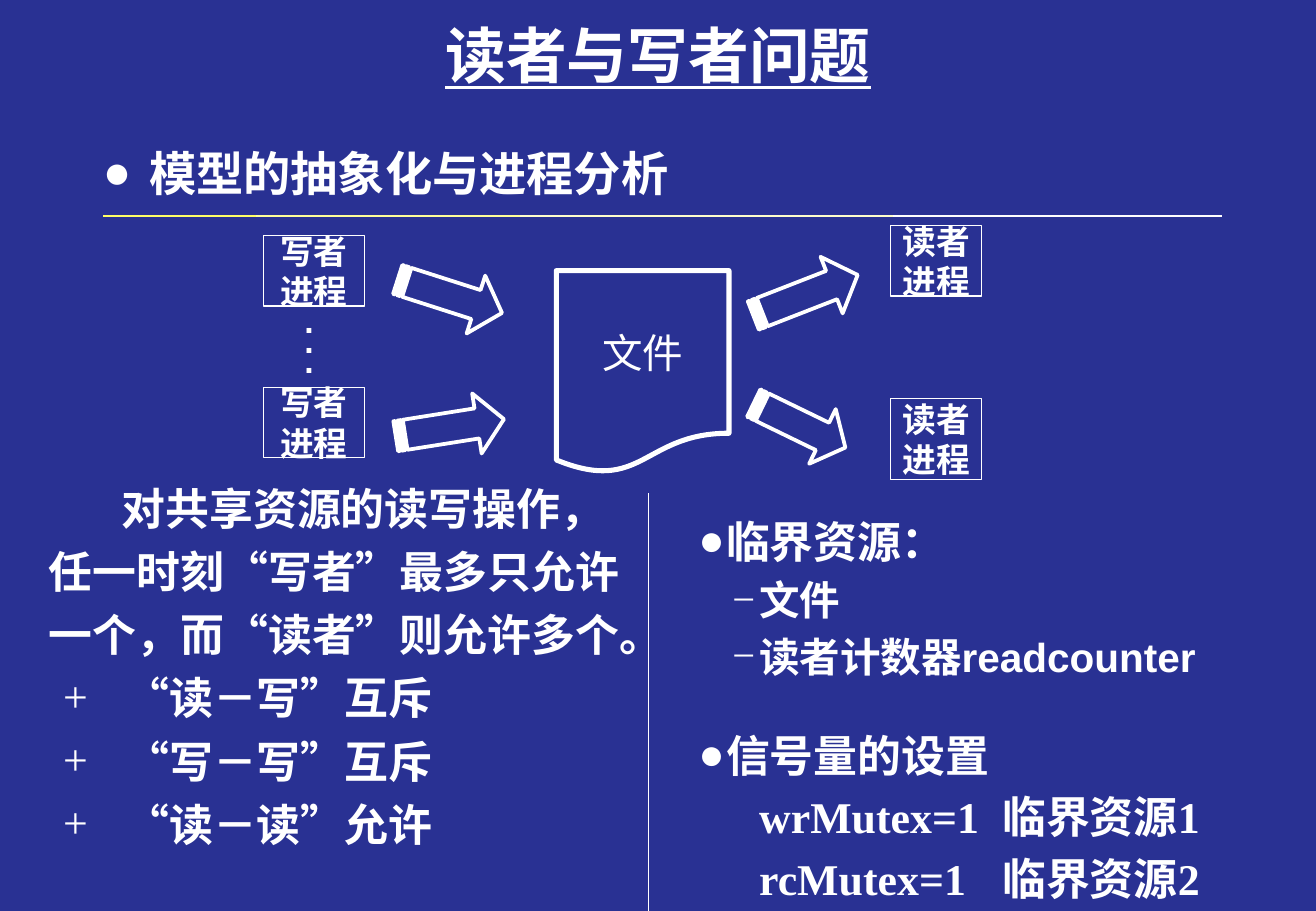
from dataclasses import dataclass

from lxml import etree
from pptx import Presentation
from pptx.dml.color import RGBColor
from pptx.enum.shapes import MSO_CONNECTOR, MSO_SHAPE
from pptx.enum.text import MSO_ANCHOR, MSO_AUTO_SIZE, PP_ALIGN
from pptx.oxml.ns import qn
from pptx.util import Cm, Pt

STRAIGHT = MSO_CONNECTOR.STRAIGHT
RECTANGLE = MSO_SHAPE.RECTANGLE
DOCUMENT = MSO_SHAPE.FLOWCHART_DOCUMENT
STRIPED_ARROW = MSO_SHAPE.STRIPED_RIGHT_ARROW
MIDDLE, TOP = MSO_ANCHOR.MIDDLE, MSO_ANCHOR.TOP
CENTER, LEFT = PP_ALIGN.CENTER, PP_ALIGN.LEFT
NO_AUTOFIT = MSO_AUTO_SIZE.NONE

COLORS = {
    "background": "293193",
    "white": "FFFFFF",
    "cream": "FFFFCC",
    "pale": "FFFF99",
    "yellow": "FFFF66",
}
ARIAL, TIMES, CJK = "Arial", "Times New Roman", "Noto Sans CJK JP"


@dataclass
class Line:
    text: str
    size: float
    font: str = ARIAL
    bold: bool = True
    underline: bool = False
    align: PP_ALIGN = LEFT
    margin: float = 0
    indent: float = 0
    before: float = 0
    spacing: float = 1.0
    bullet: str = ""
    tab: float = 0


@dataclass
class Area:
    left: float
    top: float
    width: float
    height: float


@dataclass
class Arrow:
    area: Area
    angle: float


def rgb(name: str) -> RGBColor:
    return RGBColor.from_string(COLORS[name])


def format_paragraph(para, line: Line) -> None:
    para.alignment = line.align
    para.line_spacing = line.spacing
    para.space_before = Pt(line.before)
    properties = para._p.get_or_add_pPr()
    properties.set("marL", str(Cm(line.margin)))
    properties.set("indent", str(Cm(line.indent)))
    if line.bullet:
        color = etree.SubElement(properties, qn("a:buClr"))
        etree.SubElement(color, qn("a:srgbClr"), val=COLORS["white"])
        etree.SubElement(properties, qn("a:buFont"), typeface=TIMES)
        etree.SubElement(properties, qn("a:buChar"), char=line.bullet)
    else:
        etree.SubElement(properties, qn("a:buNone"))
    if line.tab:
        tabs = etree.SubElement(properties, qn("a:tabLst"))
        etree.SubElement(tabs, qn("a:tab"), pos=str(Cm(line.tab)), algn="l")


def write(frame, lines: list[Line], anchor=TOP, wrap: bool = True) -> None:
    frame.word_wrap = wrap
    frame.auto_size = NO_AUTOFIT
    frame.vertical_anchor = anchor
    for index, line in enumerate(lines):
        para = frame.add_paragraph() if index else frame.paragraphs[0]
        format_paragraph(para, line)
        span = para.add_run()
        span.text = line.text
        span.font.size = Pt(line.size)
        span.font.bold = line.bold
        span.font.underline = line.underline
        span.font.color.rgb = rgb("white")
        span.font.name = line.font
        etree.SubElement(span._r.get_or_add_rPr(), qn("a:ea"), typeface=CJK)


def lengths(area: Area) -> tuple:
    return Cm(area.left), Cm(area.top), Cm(area.width), Cm(area.height)


def add_text(page, area: Area, lines: list[Line], anchor=TOP, wrap: bool = True) -> None:
    box = page.shapes.add_textbox(*lengths(area))
    write(box.text_frame, lines, anchor, wrap)


def add_outline(page, kind, area: Area, weight: float):
    shape = page.shapes.add_shape(kind, *lengths(area))
    shape.shadow.inherit = False
    shape.fill.background()
    shape.line.color.rgb = rgb("white")
    shape.line.width = Pt(weight)
    return shape


def add_line(page, start: tuple, end: tuple, color: str) -> None:
    line = page.shapes.add_connector(STRAIGHT, *map(Cm, start + end))
    line.line.color.rgb = rgb(color)
    line.line.width = Pt(0.75)
    etree.SubElement(line._element.spPr, qn("a:effectLst"))


def add_arrow(page, arrow: Arrow) -> None:
    shape = add_outline(page, STRIPED_ARROW, arrow.area, 2.25)
    shape.adjustments[1] = 0.25 * arrow.area.width / arrow.area.height
    shape.rotation = arrow.angle


def build_rule(page) -> None:
    y, right_end = 4.52, 25.55
    long_colors = ["cream"] * 3 + ["white"] * 3
    for index, color in reversed(list(enumerate(long_colors))):
        start = 10.42 + 2.75 * index
        add_line(page, (start, y), (min(start + 2.75, right_end), y), color)
    short_colors = ["yellow"] + ["pale"] * 4
    for index, color in reversed(list(enumerate(short_colors))):
        start = 3.07 + 1.38 * index
        add_line(page, (start, y), (start + 2.29, y), color)
    add_line(page, (2.16, y), (3.99, y), "yellow")


PROCESSES = [
    ("写者", Area(5.51, 4.93, 2.11, 1.47)),
    ("写者", Area(5.51, 8.1, 2.11, 1.47)),
    ("读者", Area(18.62, 4.72, 1.9, 1.47)),
    ("读者", Area(18.62, 8.33, 1.9, 1.7)),
]
ARROWS = [
    Arrow(Area(8.26, 5.56, 2.29, 1.27), 17.8),
    Arrow(Area(8.26, 8.31, 2.29, 1.27), 351),
    Arrow(Area(15.67, 5.54, 2.34, 1.27), 338.7),
    Arrow(Area(15.65, 8.26, 2.13, 1.27), 25.9),
]
RULES = ["“读－写”互斥", "“写－写”互斥", "“读－读”允许"]
SEMAPHORES = ["wrMutex=1\t临界资源1", "rcMutex=1\t临界资源2"]


def main() -> None:
    deck = Presentation()
    deck.slide_width, deck.slide_height = Cm(27.51), Cm(19.05)
    page = deck.slides.add_slide(deck.slide_layouts[5])
    page.background.fill.solid()
    page.background.fill.fore_color.rgb = rgb("background")
    build_rule(page)

    # Title and subtitle
    title = page.shapes.title
    title.left, title.top, title.width, title.height = lengths(Area(2.06, -0.23, 23.39, 2.74))
    write(title.text_frame, [Line("读者与写者问题", 36, CJK, underline=True, align=CENTER)], MIDDLE)
    add_text(page, Area(1.9, 2.9, 16.71, 1.45), [
        Line("模型的抽象化与进程分析", 28, margin=0.97, indent=-0.97, before=5.6, bullet="●")])

    # Writers, file and readers
    document = add_outline(page, DOCUMENT, Area(11.63, 5.66, 3.61, 4.24), 3)
    write(document.text_frame, [Line("文件", 24, bold=False, align=CENTER)], MIDDLE, False)
    for role, area in PROCESSES:
        process = add_outline(page, RECTANGLE, area, 0.75)
        lines = [Line(text, 20, align=CENTER) for text in (role, "进程")]
        write(process.text_frame, lines, MIDDLE, False)
    for arrow in ARROWS:
        add_arrow(page, arrow)
    dots = [Line(".", 20, align=CENTER, spacing=0.5)] * 3
    add_text(page, Area(5.51, 6.63, 1.9, 1.27), dots, MIDDLE, False)

    # Access rules
    summary = "对共享资源的读写操作，任一时刻“写者”最多只允许一个，而“读者”则允许多个。"
    add_text(page, Area(-0.2, 9.73, 13.77, 8.53), [
        Line(summary, 26, margin=0.97, indent=1.52, spacing=1.2),
        *(Line(rule, 26, margin=2.57, indent=-1.3, spacing=1.2, bullet="+") for rule in RULES)])

    # Critical resources and semaphores
    add_text(page, Area(14.35, 10.64, 14.6, 3.78), [
        Line("临界资源：", 26, margin=0.58, indent=-0.58, before=5.2, bullet="●"),
        *(Line(text, 24, margin=1.27, indent=-0.56, before=4.8, bullet="−")
          for text in ("文件", "读者计数器readcounter"))])
    add_text(page, Area(14.35, 15.11, 14.6, 4.01), [
        Line("信号量的设置", 26, TIMES, margin=0.58, indent=-0.58, before=5.2, bullet="●"),
        *(Line(text, 26, TIMES, indent=1.27, before=5.2, tab=7.92) for text in SEMAPHORES)])
    add_line(page, (13.56, 10.31), (13.56, 19.33), "white")

    deck.save("out.pptx")


if __name__ == "__main__":
    main()
